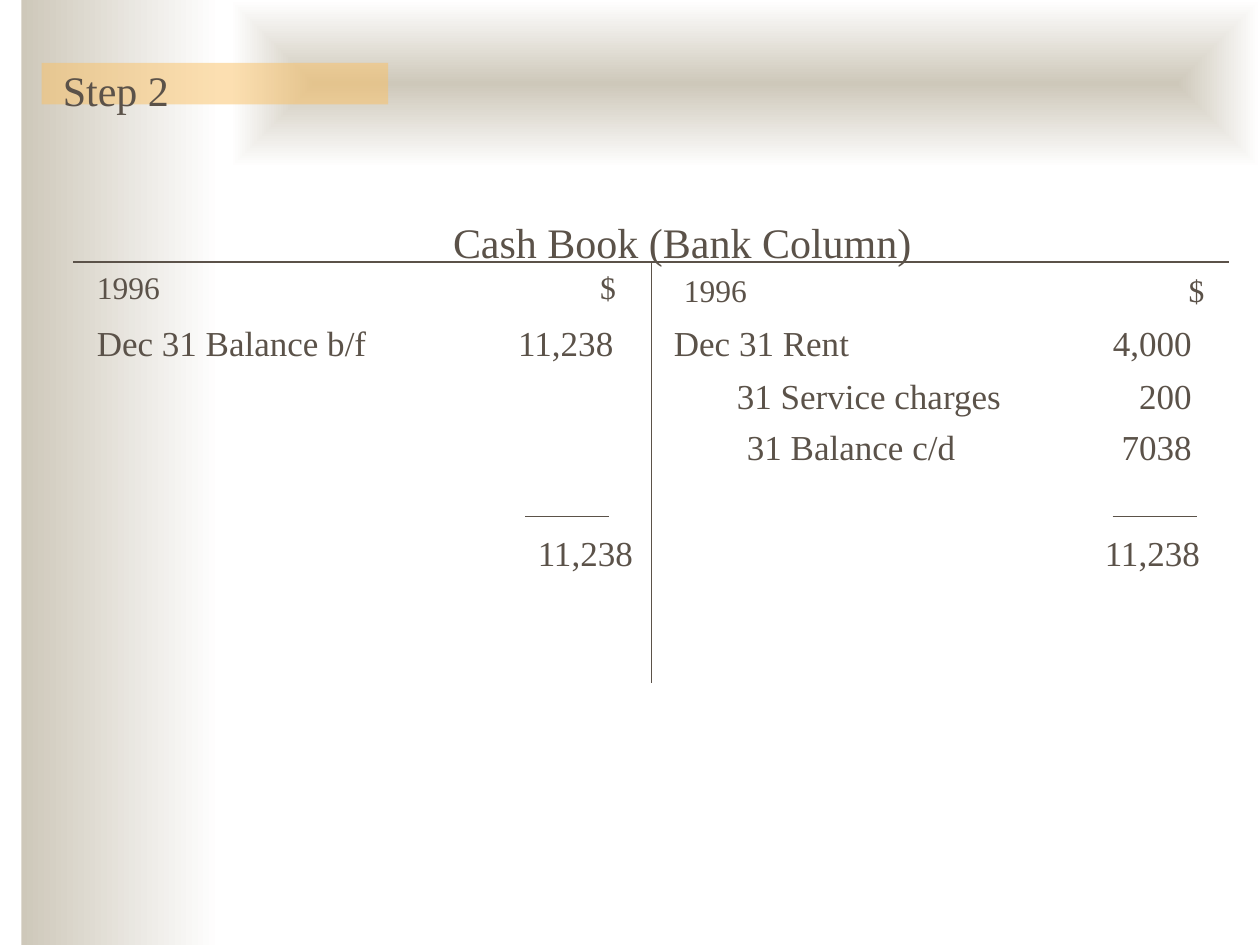
from lxml.etree import SubElement
from pptx import Presentation
from pptx.dml.color import RGBColor
from pptx.enum.shapes import MSO_CONNECTOR, MSO_SHAPE
from pptx.enum.text import PP_ALIGN
from pptx.oxml.ns import qn
from pptx.util import Inches, Pt

FONT = "Times New Roman"
COLORS = {"ink": "5B5249", "sand": "CEC8BA", "white": "FFFFFF", "accent": "FAC164"}
INSET = 0.1

# text, left, top, width, size, alignment
LABELS = [
    ("Cash Book (Bank Column)", 3.25, 1.67, 4.33, 24, PP_ALIGN.CENTER),
    ("11,238", 8.67, 4.17, 0.97, 20, PP_ALIGN.LEFT),
    ("11,238", 4.17, 4.17, 0.97, 20, PP_ALIGN.LEFT),
    ("Step 2", 0.4, 0.46, 1.04, 24, PP_ALIGN.LEFT),
]
# entry, amount, left, top, right edge of the amount, size
ENTRIES = [
    ("1996", "$", 0.67, 2.08, 4.89, 18),
    ("1996", "$", 5.33, 2.1, 9.56, 18),
    ("Dec 31 Balance b/f", "11,238", 0.67, 2.5, 4.87, 20),
    ("Dec 31 Rent", "4,000", 5.25, 2.5, 9.46, 20),
    ("31 Service charges", "200", 5.75, 2.92, 9.46, 20),
    ("31 Balance c/d", "7038", 5.83, 3.33, 9.46, 20),
]
# start x, start y, end x, end y
RULES = [
    (0.58, 2.08, 9.75, 2.08),
    (5.17, 2.08, 5.17, 5.42),
    (4.17, 4.1, 4.83, 4.1),
    (8.83, 4.1, 9.5, 4.1),
]


def color(name):
    return RGBColor.from_string(COLORS[name])


def add_block(page, left, top, width, height):
    block = page.shapes.add_shape(
        MSO_SHAPE.RECTANGLE, Inches(left), Inches(top), Inches(width), Inches(height))
    block.shadow.inherit = False
    block.line.fill.background()
    return block


def add_fade(page, *place, from_centre=False):
    """Add a block that fades from sand to white, rightwards or from its centre."""
    block = add_block(page, *place)
    block.fill.gradient()
    block.fill.gradient_angle = 0
    for stop, name in zip(block.fill.gradient_stops, ("sand", "white")):
        stop.color.rgb = color(name)
    if from_centre:
        gradient = block._element.spPr.find(qn("a:gradFill"))
        gradient.remove(gradient.find(qn("a:lin")))
        shade = SubElement(gradient, qn("a:path"), path="shape")
        SubElement(shade, qn("a:fillToRect"), l="50000", t="50000", r="50000", b="50000")


def add_accent(page, *place):
    block = add_block(page, *place)
    block.fill.solid()
    block.fill.fore_color.rgb = color("accent")
    fill = block._element.spPr.find(qn("a:solidFill"))
    SubElement(fill[0], qn("a:alpha"), val="50000")


def add_rule(page, *ends):
    rule = page.shapes.add_connector(MSO_CONNECTOR.STRAIGHT, *map(Inches, ends))
    rule.line.color.rgb = color("ink")
    rule.line.width = Pt(0.75)
    SubElement(rule._element.spPr, qn("a:effectLst"))


def add_text(page, text, left, top, width, size, align=PP_ALIGN.LEFT, tab=None):
    """Add one line of text; tab is the place of a right-aligned tab stop."""
    height = size / 72 * 1.2 + 0.1
    box = page.shapes.add_textbox(Inches(left), Inches(top), Inches(width), Inches(height))
    box.text_frame.word_wrap = True
    para = box.text_frame.paragraphs[0]
    para.alignment = align
    if tab is not None:
        stops = SubElement(para._p.get_or_add_pPr(), qn("a:tabLst"))
        SubElement(stops, qn("a:tab"), pos=str(Inches(tab)), algn="r")
    span = para.add_run()
    span.text = text
    span.font.name = FONT
    span.font.size = Pt(size)
    span.font.color.rgb = color("ink")


def main():
    deck = Presentation()
    deck.slide_width, deck.slide_height = Inches(10), Inches(7.5)
    page = deck.slides.add_slide(deck.slide_layouts[6])

    add_fade(page, 0.17, 0, 1.58, 7.5)
    add_fade(page, 1.83, 0, 8.17, 1.33, from_centre=True)
    add_accent(page, 0.33, 0.5, 2.75, 0.33)
    for rule in RULES:
        add_rule(page, *rule)
    for label in LABELS:
        add_text(page, *label)
    for entry, amount, left, top, right, size in ENTRIES:
        add_text(page, f"{entry}\t{amount}", left, top, right - left + 2 * INSET, size,
                 tab=right - left - INSET)
    deck.save("out.pptx")


if __name__ == "__main__":
    main()
